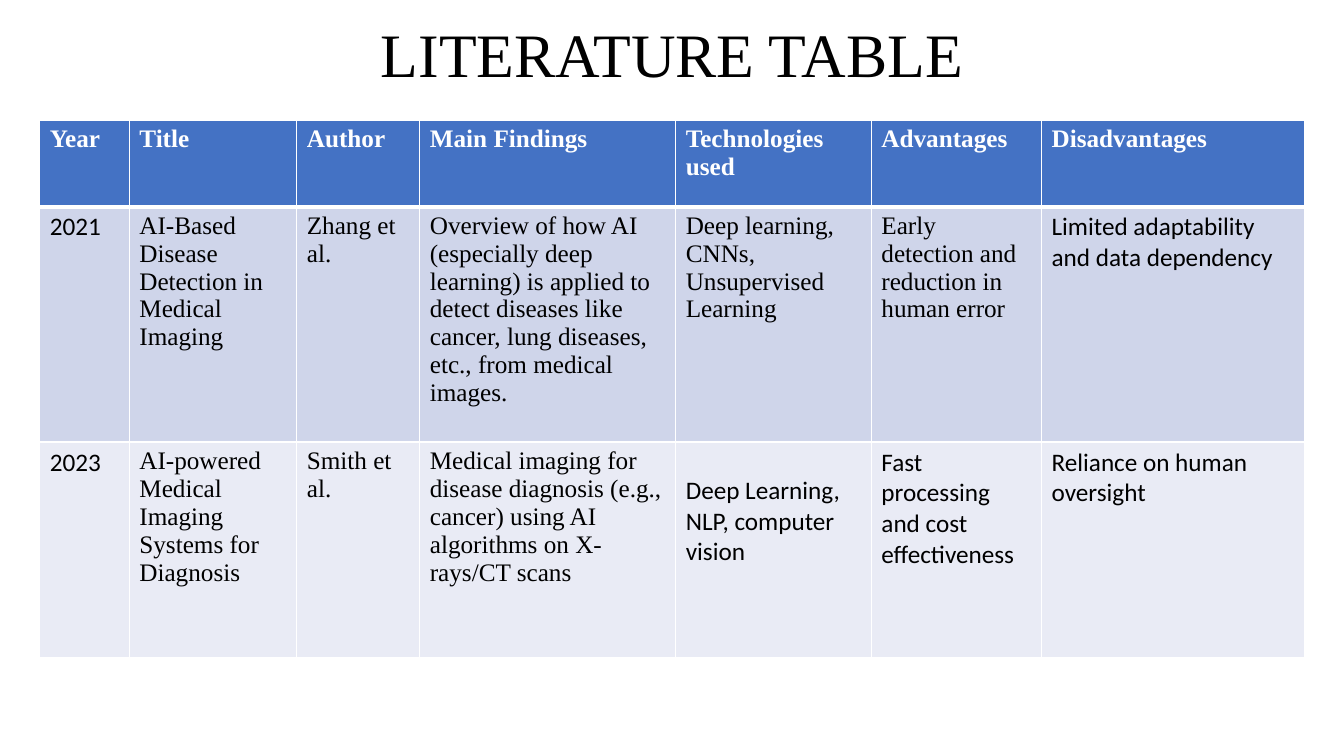
from lxml import etree
from pptx import Presentation
from pptx import util as u
from pptx.dml import color
from pptx.enum import text
from pptx.oxml import ns

COLORS = {"white": "FFFFFF", "black": "000000", "header": "4472C4",
          "odd": "CFD5EA", "even": "E9EBF5"}
SERIF, SANS = "Times New Roman", "Calibri"


def add_span(para, words, hue, **formats):
    span = para.add_run()
    span.text = words
    span.font.color.rgb = color.RGBColor.from_string(COLORS[hue])
    for name, value in formats.items():
        setattr(span.font, name, value)


def add_border(cell, side, points):
    line = etree.SubElement(cell._tc.get_or_add_tcPr(), ns.qn(f"a:ln{side}"),
                            w=str(u.Pt(points)))
    fill = etree.SubElement(line, ns.qn("a:solidFill"))
    etree.SubElement(fill, ns.qn("a:srgbClr"), val=COLORS["white"])


deck = Presentation()
deck.slide_width, deck.slide_height = u.Cm(33.87), u.Cm(19.05)
page = deck.slides.add_slide(deck.slide_layouts[6])

# Title
box = page.shapes.add_textbox(u.Cm(2.33), u.Cm(0.6), u.Cm(29.21), u.Cm(1.8))
frame_format = {"word_wrap": True, "margin_top": 0, "margin_bottom": 0,
                "vertical_anchor": text.MSO_ANCHOR.TOP}
for name, value in frame_format.items():
    setattr(box.text_frame, name, value)
para = box.text_frame.paragraphs[0]
para.alignment, para.line_spacing = text.PP_ALIGN.CENTER, 0.9
for words, size in (("LITERATURE", 44.1), (" ", 39.6), ("TABLE", 44.1)):
    add_span(para, words, "black", name=SERIF, size=u.Pt(size))

# Table content: one list per row
rows = [
    ["Year", "Title", "Author", "Main Findings", "Technologies used",
     "Advantages", "Disadvantages"],
    ["2021", "AI-Based Disease Detection in Medical Imaging", "Zhang et al.",
     "Overview of how AI (especially deep learning) is applied to detect "
     "diseases like cancer, lung diseases, etc., from medical images.",
     "Deep learning, CNNs, Unsupervised Learning",
     "Early detection and reduction in human error",
     "Limited adaptability and data dependency"],
    ["2023", "AI-powered Medical Imaging Systems for Diagnosis", "Smith et al.",
     "Medical imaging for disease diagnosis (e.g., cancer) using AI "
     "algorithms on X-rays/CT scans",
     "Deep Learning,\nNLP, computer vision",
     "Fast processing and cost effectiveness",
     "Reliance on human oversight"],
]
fills = ["header", "odd", "even"]
sans_columns = [(), (0, 6), (0, 4, 5, 6)]
widths = [2.26, 4.22, 3.1, 6.45, 4.93, 4.29, 6.63]
heights = [2.18, 5.93, 5.44]

# Table grid
table = page.shapes.add_table(len(rows), len(widths), u.Cm(1), u.Cm(3.03),
                              u.Cm(sum(widths)), u.Cm(sum(heights))).table
for column, width in zip(table.columns, widths):
    column.width = u.Cm(width)
for row, height in zip(table.rows, heights):
    row.height = u.Cm(height)

# Cells: borders, fill and text
for r, row in enumerate(rows):
    for c, content in enumerate(row):
        cell = table.cell(r, c)
        borders = {"L": 1, "R": 1, "T": 3 if r == 1 else 1, "B": 3 if r == 0 else 1}
        for side, points in borders.items():
            add_border(cell, side, points)
        cell.fill.solid()
        cell.fill.fore_color.rgb = color.RGBColor.from_string(COLORS[fills[r]])
        for i, words in enumerate(content.split("\n")):
            frame = cell.text_frame
            para = frame.add_paragraph() if i else frame.paragraphs[0]
            add_span(para, words, "black" if r else "white", bold=r == 0,
                     name=SANS if c in sans_columns[r] else SERIF, size=u.Pt(18))

# The last technologies entry starts one line lower
table.cell(2, 4).margin_top = u.Cm(0.84)

deck.save("out.pptx")
